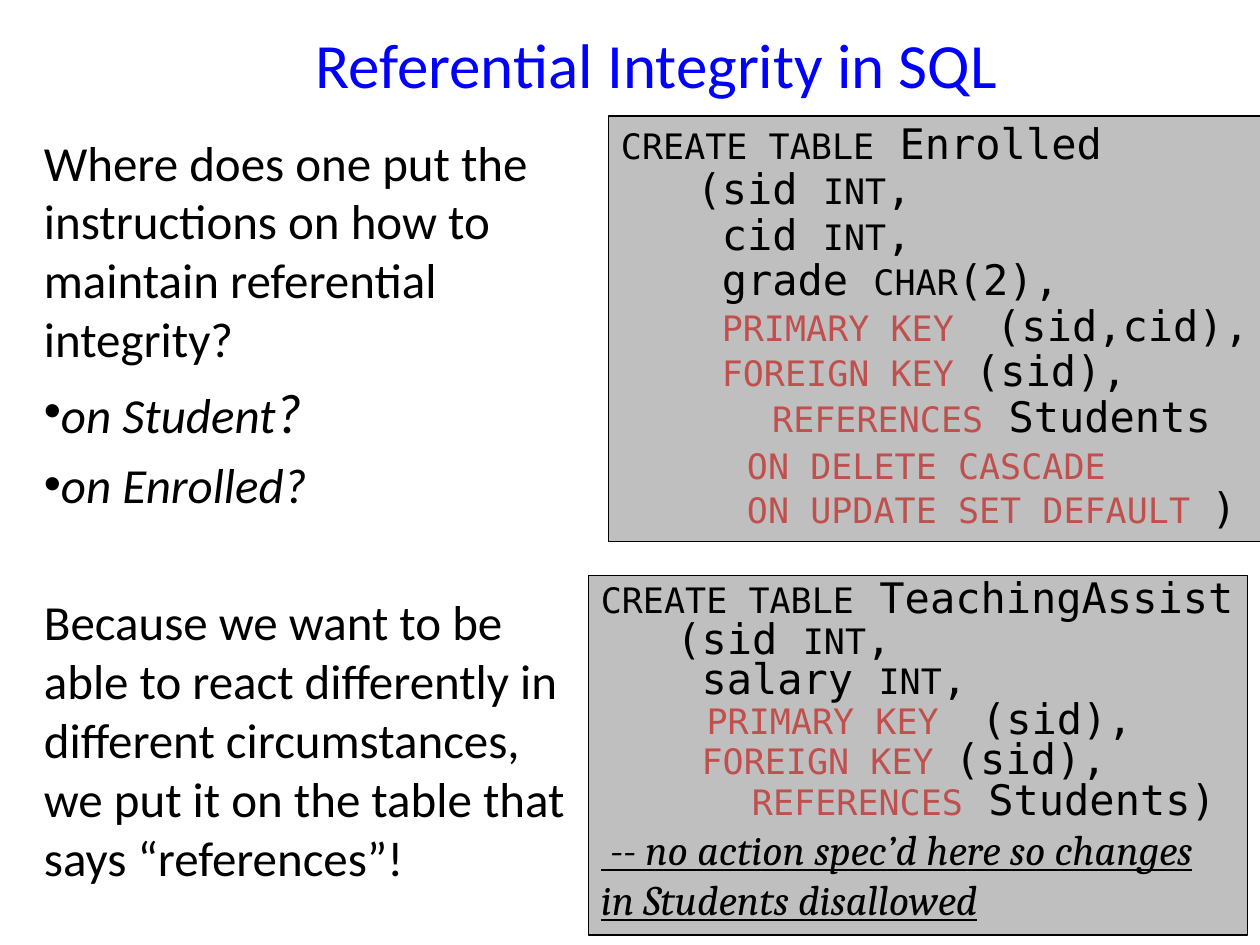
from pptx import Presentation
from pptx.dml.color import RGBColor
from pptx.enum.shapes import MSO_SHAPE
from pptx.enum.text import MSO_ANCHOR, PP_ALIGN
from pptx.oxml.ns import qn
from pptx.util import Inches, Pt
from lxml.etree import SubElement

MONO = "DejaVu Sans Mono"
BLACK, BLUE, GREY, RED = "000000", "0000FF", "BFBFBF", "C0504D"
NAME = dict(size=24, font=MONO)
TYPE = dict(size=20, font=MONO)
RULE = dict(size=20, font=MONO, color=RED)
REMARK = dict(size=24, font="Cambria", italic=True, underline=True)

ENROLLED = [
    (0, [("CREATE TABLE", TYPE), (" Enrolled", NAME)]),
    (0.6, [("(sid ", NAME), ("INT", TYPE), (",", NAME)]),
    (0.8, [("cid ", NAME), ("INT", TYPE), (",", NAME)]),
    (0.8, [("grade ", NAME), ("CHAR", TYPE), ("(2),", NAME)]),
    (0.8, [("PRIMARY KEY  ", RULE), ("(sid,cid),", NAME)]),
    (0.8, [("FOREIGN KEY ", RULE), ("(sid),", NAME)]),
    (1.2, [("REFERENCES", RULE), (" Students", NAME)]),
    (1, [("ON DELETE CASCADE", RULE)]),
    (1, [("ON UPDATE SET DEFAULT ", RULE), (")", NAME)]),
]
ASSISTANT = [
    (0, [("CREATE TABLE", TYPE), (" TeachingAssist", NAME)]),
    (0.6, [("(sid ", NAME), ("INT", TYPE), (",", NAME)]),
    (0.8, [("salary ", NAME), ("INT", TYPE), (",", NAME)]),
    (0.84, [("PRIMARY KEY  ", RULE), ("(sid),", NAME)]),
    (0.8, [("FOREIGN KEY ", RULE), ("(sid),", NAME)]),
    (1.2, [("REFERENCES", RULE), (" Students)", NAME)]),
]
REMARKS = [" -- no action spec’d here so changes", "in Students disallowed"]


def rgb(value):
    """Turn a hex string into a colour."""
    return RGBColor.from_string(value)


def add_text(p, text, size=28, font="Calibri", color=BLACK, italic=False, underline=False):
    """Add a formatted run to a paragraph."""
    r = p.add_run()
    r.text = text
    r.font.size = Pt(size)
    r.font.name = font
    r.font.color.rgb = rgb(color)
    r.font.italic = italic
    r.font.underline = underline


def next_paragraph(tf):
    """Return the first paragraph while it is unused, else a new one."""
    p = tf.paragraphs[0]
    return tf.add_paragraph() if p.runs else p


def set_indent(p, left, bullet=None):
    """Set the left margin of a paragraph and its bullet."""
    pPr = p._p.get_or_add_pPr()
    pPr.set("marL", str(Inches(left)))
    pPr.set("indent", "0")
    if bullet:
        SubElement(pPr, qn("a:buFont")).set("typeface", "Arial")
        SubElement(pPr, qn("a:buChar")).set("char", bullet)


def place_title(s, box, text):
    """Move and format the title placeholder."""
    sp = s.shapes.title
    sp.left, sp.top, sp.width, sp.height = map(Inches, box)
    tf = sp.text_frame
    tf.vertical_anchor = MSO_ANCHOR.MIDDLE
    p = tf.paragraphs[0]
    p.alignment = PP_ALIGN.CENTER
    add_text(p, text, size=36, color=BLUE)


def place_discussion(s, box):
    """Write the question, its two options and the answer."""
    tf = s.shapes.add_textbox(*map(Inches, box)).text_frame
    tf.word_wrap = True
    p = next_paragraph(tf)
    add_text(p, "Where does one put the instructions on how to maintain referential integrity?")
    for option, mark_size in (("on Student", 32), ("on Enrolled", 28)):
        p = next_paragraph(tf)
        p.space_before = Pt(5.6)
        set_indent(p, 0, bullet="•")
        add_text(p, option, italic=True)
        add_text(p, "?", size=mark_size, italic=True)
    p = next_paragraph(tf)
    p.space_before = Pt(45)
    add_text(p, "Because we want to be able to react differently in different "
                "circumstances, we put it on the table that says “references”!")


def place_code(s, box, lines, pitch, remarks=()):
    """Draw a grey panel with indented SQL and closing remarks."""
    sp = s.shapes.add_shape(MSO_SHAPE.RECTANGLE, *map(Inches, box))
    sp.shadow.inherit = False
    sp.fill.solid()
    sp.fill.fore_color.rgb = rgb(GREY)
    sp.line.color.rgb = rgb(BLACK)
    sp.line.width = Pt(0.75)
    tf = sp.text_frame
    tf.word_wrap = True
    tf.margin_right = 0
    tf.vertical_anchor = MSO_ANCHOR.TOP
    for indent, runs in lines:
        p = next_paragraph(tf)
        p.alignment = PP_ALIGN.LEFT
        p.line_spacing = Pt(pitch)
        set_indent(p, indent)
        for text, style in runs:
            add_text(p, text, **style)
    for remark in remarks:
        p = next_paragraph(tf)
        p.alignment = PP_ALIGN.LEFT
        add_text(p, remark, **REMARK)


def main():
    """Build the slide and save it."""
    prs = Presentation()
    prs.slide_width, prs.slide_height = Inches(10), Inches(7.5)
    s = prs.slides.add_slide(prs.slide_layouts[5])
    place_title(s, (1, 0.17, 8.42, 0.67), "Referential Integrity in SQL")
    place_discussion(s, (0.25, 1, 4.42, 5.83))
    place_code(s, (4.83, 0.92, 5.22, 3.38), ENROLLED, 26)
    place_code(s, (4.67, 4.57, 5.23, 2.85), ASSISTANT, 23, REMARKS)
    prs.save("out.pptx")


if __name__ == "__main__":
    main()
